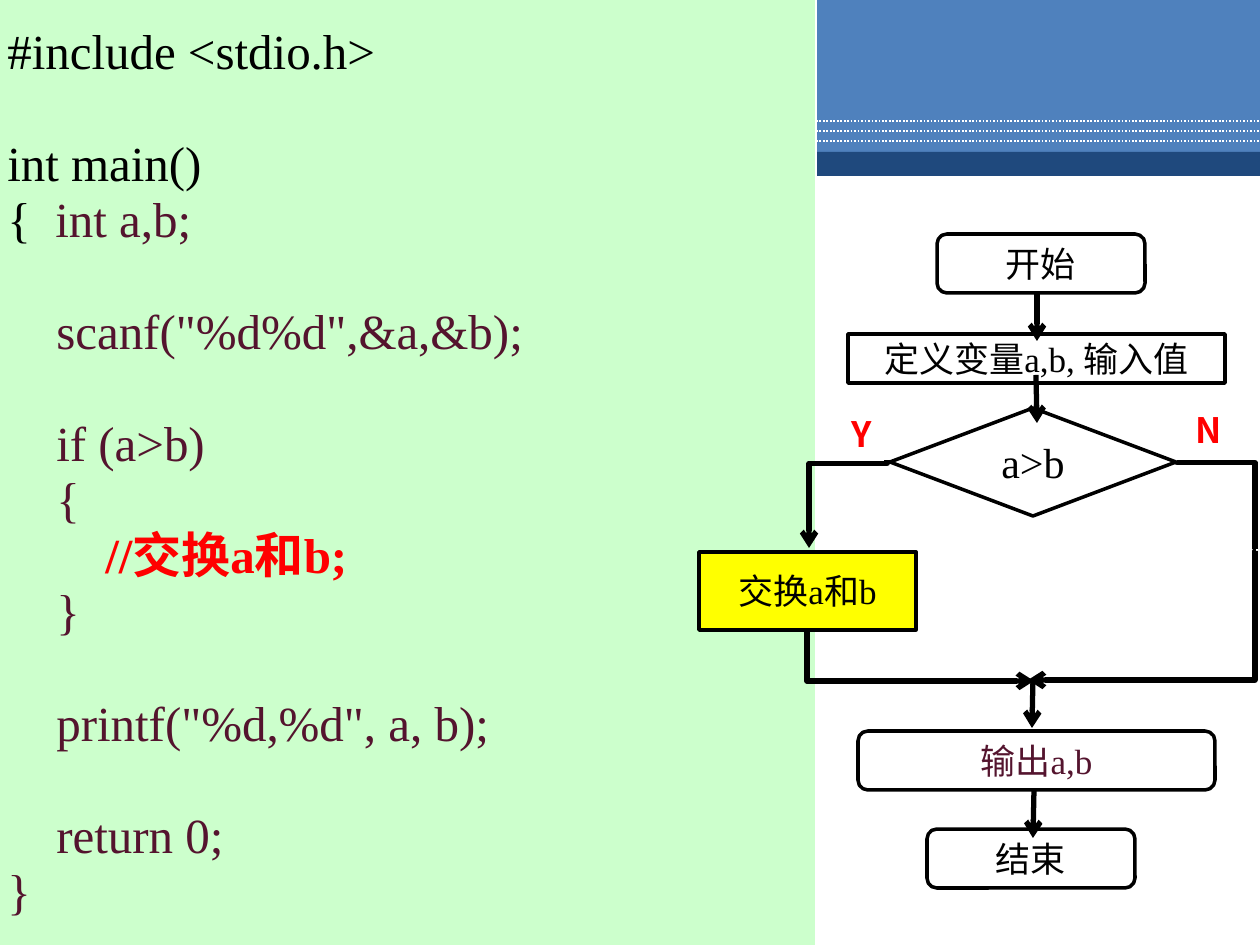
"""Build a slide with a C program beside the flowchart of its swap branch."""
from lxml import etree
from pptx import Presentation
from pptx import util as u
from pptx.dml.color import RGBColor
from pptx.enum import dml, shapes, text
from pptx.oxml.ns import qn

THEME = {
    "black": "000000", "white": "FFFFFF", "red": "FF0000", "plum": "54142E",
    "mint": "CCFFCC", "yellow": "FFFF00", "blue": "4F81BD", "navy": "1F497D",
    "serif": "Times New Roman", "sans": "Arial", "cjk": "Noto Sans CJK SC",
    "code": 28, "decision": 24, "node": 20, "pitch": 32,
    "outline": 2, "flow": 3, "hairline": 0.75, "dots": 1,
}
INDENT = 49

BANDS = [((1, 0, 1259, 155), "blue"), ((0, 152, 1260, 10), "navy"), ((323, 156, 937, 20), "navy")]
DOTTED_ROWS = [121, 131, 141]

CODE_BOX = (-5, -6, 821, 955)
CODE = [
    (0, 0, [("#include <stdio.h>", "black")]),
    (0, 1, [("int main()", "black")]),
    (0, 0, [("{  ", "black"), ("int a,b;", "plum")]),
    (1, 1, [('scanf("%d%d",&a,&b);', "plum")]),
    (1, 1, [("if (a>b)", "plum")]),
    (1, 0, [("{", "plum")]),
    (2, 0, [("//交换a和b;", "red")]),
    (1, 0, [("}", "plum")]),
    (1, 1, [('printf("%d,%d", a, b);', "plum")]),
    (1, 1, [("return 0;", "plum")]),
    (0, 0, [("}", "plum")]),
]

ROUNDED = shapes.MSO_SHAPE.FLOWCHART_ALTERNATE_PROCESS
PROCESS = shapes.MSO_SHAPE.FLOWCHART_PROCESS
DECISION = shapes.MSO_SHAPE.FLOWCHART_DECISION
NODES = [
    ("开始", ROUNDED, (937, 234, 208, 59), None, "sans", "node", "black"),
    ("定义变量a,b, 输入值", PROCESS, (848, 334, 377, 49), None, "serif", "node", "black"),
    ("a>b", DECISION, (890, 408, 286, 108), None, "serif", "decision", "black"),
    ("交换a和b", PROCESS, (699, 552, 217, 78), "yellow", "serif", "node", "black"),
    ("输出a,b", ROUNDED, (858, 731, 357, 59), None, "serif", "node", "plum"),
    ("结束", ROUNDED, (927, 829, 208, 59), None, "sans", "node", "black"),
]
ARROWS = [
    (1037, 294, 1037, 341),
    (1036, 375, 1037, 423),
    (1033, 680, 1032, 728),
    (1034, 790, 1033, 838),
]
ELBOWS = [
    ((804, 465, 88, 78), 90, None, "bentConnector3", 4000, True),
    ((1172, 466, 88, 78), 270, "flipH", "bentConnector3", 1900, False),
    ((896, 543, 49, 227), 270, "flipH", "bentConnector2", None, True),
    ((1028, 551, 228, 129), 180, "flipV", "bentConnector3", 500, True),
]
LABELS = [("N", (1133, 402, 152, 54)), ("Y", (788, 406, 147, 54))]


def px(*lengths):
    return [u.Emu(round(length * 914400 / 126)) for length in lengths]


def color(name):
    return RGBColor.from_string(THEME[name])


def apply(target, **values):
    for name, value in values.items():
        setattr(target, name, value)


def add_run(paragraph, wording, font, size, tint, bold=False):
    run = paragraph.add_run()
    run.text = wording
    apply(run.font, name=THEME[font], size=u.Pt(THEME[size]), bold=bold)
    run.font.color.rgb = color(tint)
    east_asian = etree.SubElement(run.font._element, qn("a:ea"))
    east_asian.set("typeface", THEME["cjk"])


def set_line(line, tint, width):
    line.color.rgb = color(tint)
    line.width = u.Pt(THEME[width])


def add_box(slide, kind, box, fill=None, outline=None, width="outline"):
    shape = slide.shapes.add_shape(kind, *px(*box))
    shape.shadow.inherit = False
    if fill:
        shape.fill.solid()
        shape.fill.fore_color.rgb = color(fill)
    else:
        shape.fill.background()
    if outline:
        set_line(shape.line, outline, width)
    else:
        shape.line.fill.background()
    apply(shape.text_frame, word_wrap=True, vertical_anchor=text.MSO_ANCHOR.MIDDLE)
    return shape


def add_line(slide, kind, ends, tint="black", width="flow", arrow=False):
    connector = slide.shapes.add_connector(kind, *px(*ends))
    set_line(connector.line, tint, width)
    if arrow:
        etree.SubElement(connector.line._get_or_add_ln(), qn("a:tailEnd")).set("type", "arrow")
    etree.SubElement(connector.element.spPr, qn("a:effectLst"))
    return connector


def add_elbow(slide, box, turn, flip, preset, bend, arrow):
    left, top, width, height = box
    ends = (left, top, left + width, top + height)
    connector = add_line(slide, shapes.MSO_CONNECTOR.ELBOW, ends, arrow=arrow)
    frame = connector.element.spPr.find(qn("a:xfrm"))
    frame.set("rot", str(turn * 60000))
    if flip:
        frame.set(flip, "1")
    geometry = connector.element.spPr.find(qn("a:prstGeom"))
    geometry.set("prst", preset)
    if bend is not None:
        guide = etree.SubElement(geometry.find(qn("a:avLst")), qn("a:gd"))
        guide.set("name", "adj1")
        guide.set("fmla", f"val {bend}")


def add_header(slide):
    for box, fill in BANDS:
        add_box(slide, shapes.MSO_SHAPE.RECTANGLE, box, fill)
    for row in DOTTED_ROWS:
        line = add_line(slide, shapes.MSO_CONNECTOR.STRAIGHT, (0, row, 1260, row), "white", "dots")
        line.line.dash_style = dml.MSO_LINE.ROUND_DOT


def add_code(slide):
    panel = add_box(slide, shapes.MSO_SHAPE.RECTANGLE, CODE_BOX, "mint", "white", "hairline")
    frame = panel.text_frame
    for index, (level, gap, runs) in enumerate(CODE):
        paragraph = frame.add_paragraph() if index else frame.paragraphs[0]
        apply(paragraph, alignment=text.PP_ALIGN.LEFT, line_spacing=u.Pt(THEME["pitch"]),
              space_before=u.Pt(gap * THEME["pitch"]))
        paragraph._p.get_or_add_pPr().set("marL", str(px(level * INDENT)[0]))
        for wording, tint in runs:
            add_run(paragraph, wording, "serif", "code", tint, tint == "red")


def add_flowchart(slide):
    for wording, kind, box, fill, font, size, tint in NODES:
        node = add_box(slide, kind, box, fill, "black")
        paragraph = node.text_frame.paragraphs[0]
        paragraph.alignment = text.PP_ALIGN.CENTER
        add_run(paragraph, wording, font, size, tint)
    for ends in ARROWS:
        add_line(slide, shapes.MSO_CONNECTOR.STRAIGHT, ends, arrow=True)
    for elbow in ELBOWS:
        add_elbow(slide, *elbow)
    for wording, box in LABELS:
        label = slide.shapes.add_textbox(*px(*box))
        label.text_frame.word_wrap = True
        paragraph = label.text_frame.paragraphs[0]
        paragraph.alignment = text.PP_ALIGN.CENTER
        add_run(paragraph, wording, "cjk", "node", "red", True)


def main():
    presentation = Presentation()
    apply(presentation, slide_width=u.Inches(10), slide_height=u.Inches(7.5))
    slide = presentation.slides.add_slide(presentation.slide_layouts[6])
    add_header(slide)
    add_code(slide)
    add_flowchart(slide)
    presentation.save("out.pptx")


if __name__ == "__main__":
    main()
